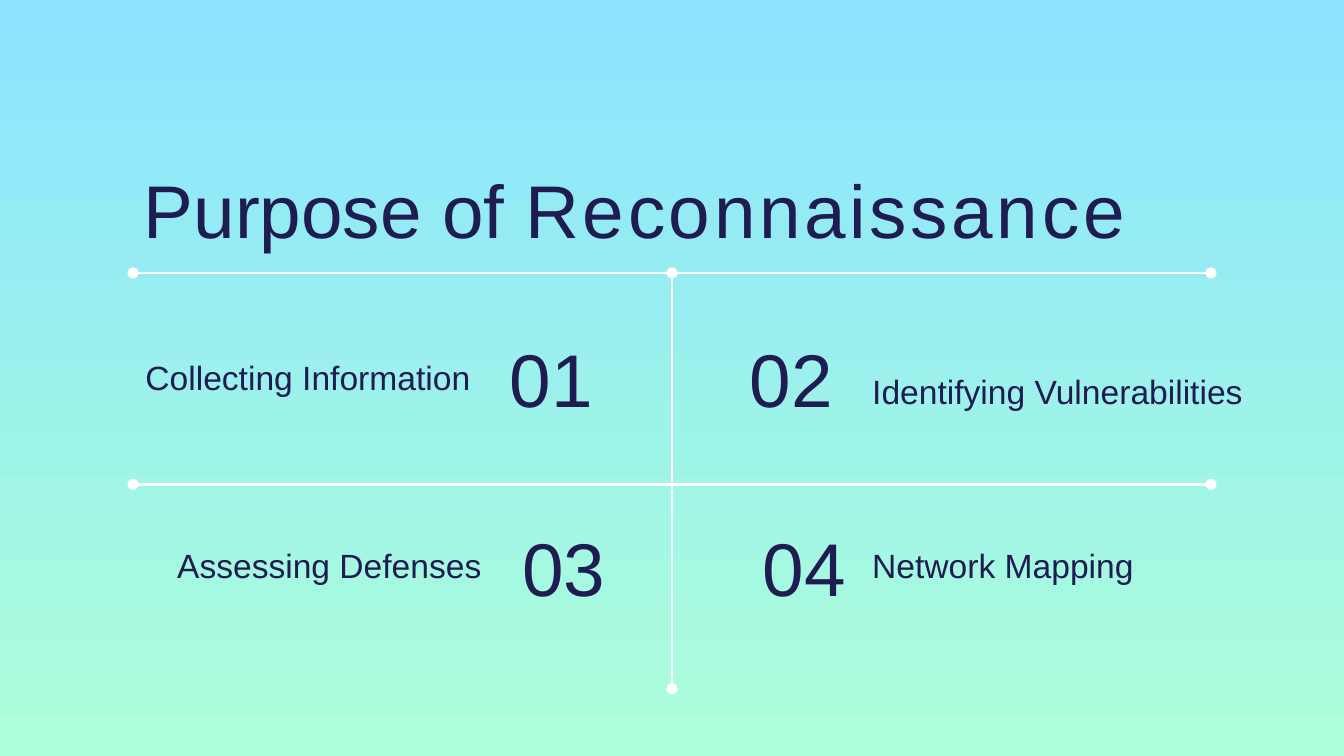
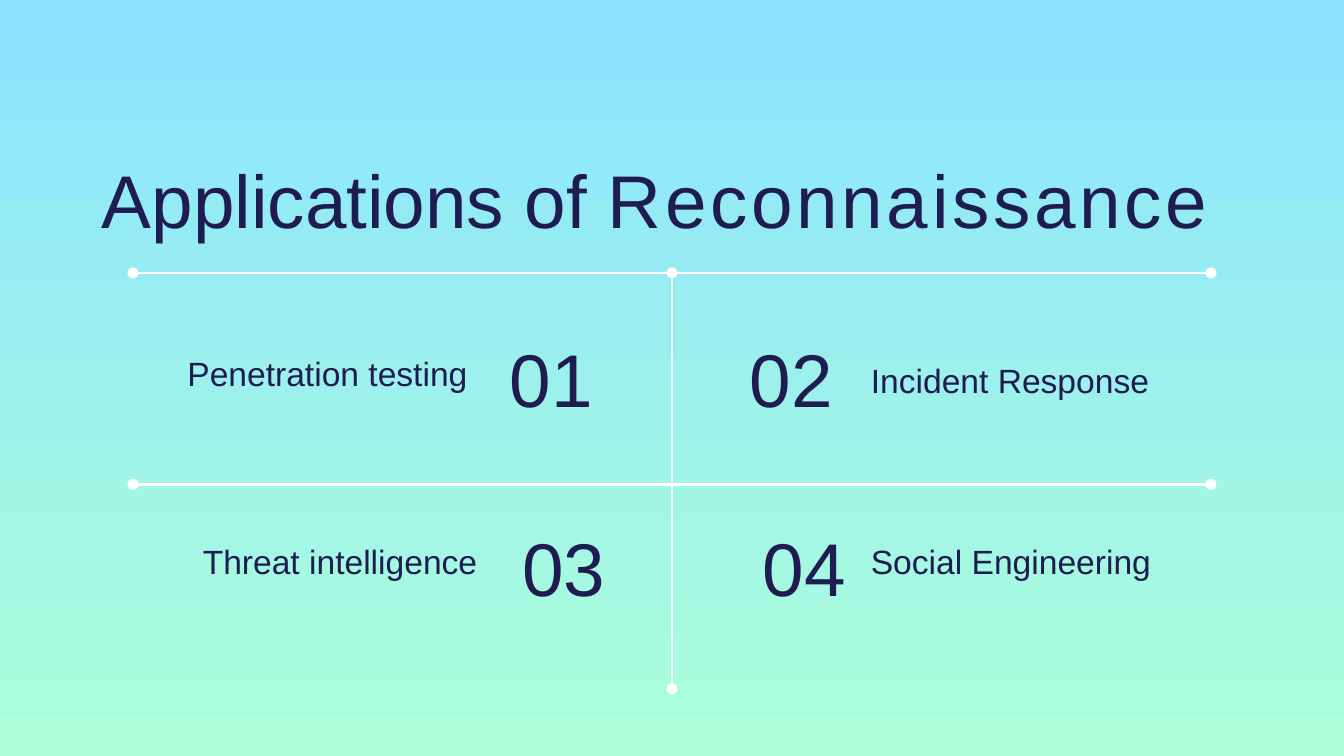
import pptx
import pptx.dml.color
import pptx.enum.shapes
import pptx.enum.text
import pptx.oxml.ns
import pptx.util
from lxml import etree

EMU_PER_PX = 9525
COLORS = {"sky": "8BE3FF", "mint": "ACFFD9", "ink": "1F1C51", "rule": "FFFFFF"}
FONT = "Arial"
INSET = 10
TITLE_HEIGHT = 66
TITLE_RIGHT_INSET = 45
LABEL_SIZE = (286, 48)
NUMBER_SIZE = (125, 83)
NUMBER_PLACES = [(354, 228), (480, 228), (363, 363), (489, 363)]
RULES = [(480, 195, 480, 492), (95, 195, 865, 195), (95, 346, 865, 346)]

LEFT = pptx.enum.text.PP_ALIGN.LEFT
RIGHT = pptx.enum.text.PP_ALIGN.RIGHT
TOP = pptx.enum.text.MSO_ANCHOR.TOP
MIDDLE = pptx.enum.text.MSO_ANCHOR.MIDDLE
BOTTOM = pptx.enum.text.MSO_ANCHOR.BOTTOM

TOPICS = [
    {
        "subject": "Purpose of ",
        "title_box": (60, 107, 789, TITLE_HEIGHT),
        "labels": [
            ("Collecting Information", 60, 246),
            ("Identifying Vulnerabilities", 613, 256),
            ("Assessing Defenses", 68, 380),
            ("Network Mapping", 613, 380),
        ],
    },
    {
        "subject": "Applications of ",
        "title_box": (0, 100, 908, TITLE_HEIGHT),
        "labels": [
            ("Penetration testing", 58, 243),
            ("Incident Response", 612, 248),
            ("Threat intelligence", 65, 377),
            ("Social Engineering", 612, 377),
        ],
    },
]


def px(length):
    return pptx.util.Emu(length * EMU_PER_PX)


def rgb(name):
    return pptx.dml.color.RGBColor.from_string(COLORS[name])


def paint_background(master):
    fill = master.background.fill
    fill.gradient()
    fill.gradient_angle = 270
    for stop, name in zip(fill.gradient_stops, ("sky", "mint")):
        stop.color.rgb = rgb(name)


def format_frame(frame, anchor, align, right_inset=INSET):
    frame.word_wrap = True
    frame.auto_size = pptx.enum.text.MSO_AUTO_SIZE.NONE
    frame.vertical_anchor = anchor
    frame.margin_left = frame.margin_top = frame.margin_bottom = px(INSET)
    frame.margin_right = px(right_inset)
    frame.paragraphs[0].alignment = align


def add_run(paragraph, words, size):
    run = paragraph.add_run()
    run.text = words
    run.font.name = FONT
    run.font.size = pptx.util.Pt(size)
    run.font.color.rgb = rgb("ink")
    return run


def add_title(slide, subject, box):
    title = slide.shapes.title
    title.left, title.top, title.width, title.height = map(px, box)
    format_frame(title.text_frame, TOP, RIGHT, TITLE_RIGHT_INSET)
    paragraph = title.text_frame.paragraphs[0]
    add_run(paragraph, subject, 40)
    spaced = add_run(paragraph, "Reconnaissance", 40)
    spaced.font._element.set("spc", "200")


def add_text(slide, words, place, box_size, size, anchor, align):
    box = slide.shapes.add_textbox(*map(px, place + box_size))
    format_frame(box.text_frame, anchor, align)
    add_run(box.text_frame.paragraphs[0], words, size)


def add_rule(slide, ends):
    """Draw a white line with a round dot at each end."""
    rule = slide.shapes.add_connector(
        pptx.enum.shapes.MSO_CONNECTOR.STRAIGHT, *map(px, ends))
    rule.line.color.rgb = rgb("rule")
    rule.line.width = pptx.util.Pt(1.5)
    outline = rule.line._get_or_add_ln()
    for end in ("a:headEnd", "a:tailEnd"):
        etree.SubElement(outline, pptx.oxml.ns.qn(end), type="oval")
    etree.SubElement(rule._element.spPr, pptx.oxml.ns.qn("a:effectLst"))


def add_quadrants(slide, labels):
    for index, ((label, left, top), number_place) in enumerate(zip(labels, NUMBER_PLACES)):
        # Numbers hug the centre line; labels sit on their outer side.
        number_align, label_align = (LEFT, RIGHT) if index % 2 == 0 else (RIGHT, LEFT)
        add_text(slide, label, (left, top), LABEL_SIZE, 18, BOTTOM, label_align)
        add_text(slide, f"{index + 1:02}", number_place, NUMBER_SIZE, 40, MIDDLE, number_align)


def main():
    deck = pptx.Presentation()
    deck.slide_width, deck.slide_height = px(960), px(540)
    paint_background(deck.slide_master)
    title_only = deck.slide_layouts.get_by_name("Title Only")
    for topic in TOPICS:
        slide = deck.slides.add_slide(title_only)
        for ends in RULES:
            add_rule(slide, ends)
        add_title(slide, topic["subject"], topic["title_box"])
        add_quadrants(slide, topic["labels"])
    deck.save("out.pptx")


if __name__ == "__main__":
    main()
